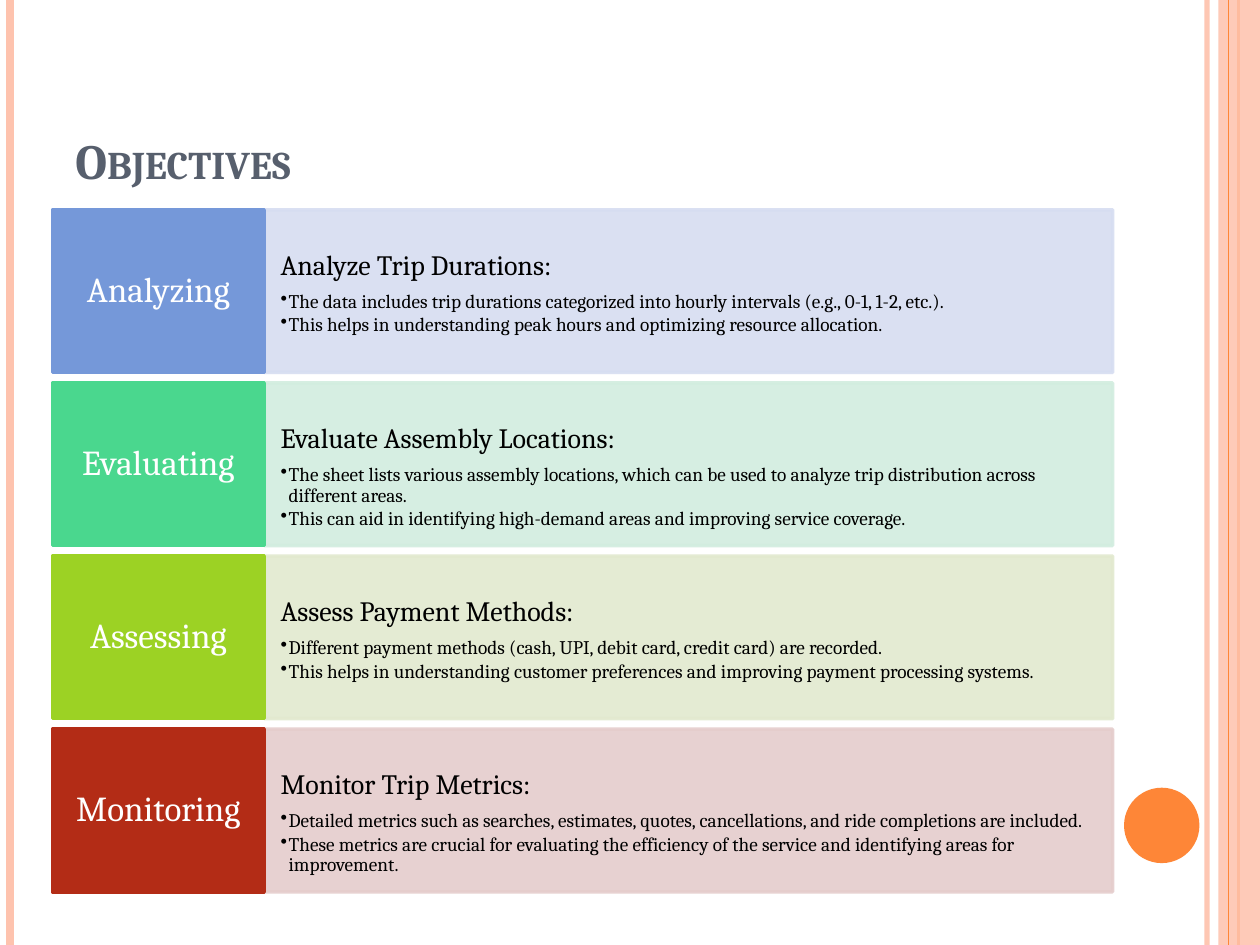
from dataclasses import dataclass

from lxml.etree import SubElement
from pptx import Presentation
from pptx.dml.color import RGBColor
from pptx.enum.shapes import MSO_CONNECTOR as Connector, MSO_SHAPE as Preset
from pptx.enum.text import MSO_ANCHOR as Anchor, PP_ALIGN as Align
from pptx.oxml.ns import qn
from pptx.util import Cm, Pt


@dataclass(frozen=True)
class Theme:
    font: str = "Cambria"
    accent: str = "FE8637"
    pale: str = "FEC3AE"
    title: str = "575F6D"
    dark: str = "000000"
    light: str = "FFFFFF"
    title_size: float = 28
    label_size: float = 20
    heading_size: float = 16
    body_size: float = 11


THEME = Theme()
WIDTH, HEIGHT = 25.4, 19.05

OBJECTIVES = [
    ("Analyzing", "7598D9", "D6DDF1", "Analyze Trip Durations:", [
        "The data includes trip durations categorized into hourly intervals (e.g., 0-1, 1-2, etc.).",
        "This helps in understanding peak hours and optimizing resource allocation.",
    ]),
    ("Evaluating", "4AD78E", "D2EDDF", "Evaluate Assembly Locations:", [
        "The sheet lists various assembly locations, which can be used to analyze trip distribution across different areas.",
        "This can aid in identifying high-demand areas and improving service coverage.",
    ]),
    ("Assessing", "9CD224", "E2E9CF", "Assess Payment Methods:", [
        "Different payment methods (cash, UPI, debit card, credit card) are recorded.",
        "This helps in understanding customer preferences and improving payment processing systems.",
    ]),
    ("Monitoring", "B32C16", "E5CDCC", "Monitor Trip Metrics:", [
        "Detailed metrics such as searches, estimates, quotes, cancellations, and ride completions are included.",
        "These metrics are crucial for evaluating the efficiency of the service and identifying areas for improvement.",
    ]),
]


def set_format(target, values):
    for name, value in values.items():
        setattr(target, name, value)


def set_opacity(shape, percent):
    for color in shape._element.spPr.iter(qn("a:srgbClr")):
        SubElement(color, qn("a:alpha")).set("val", str(percent * 1000))


def add_block(slide, preset, box, color, line_width=0, opacity=100):
    shape = slide.shapes.add_shape(preset, *map(Cm, box))
    shape.shadow.inherit = False
    shape.fill.solid()
    shape.fill.fore_color.rgb = RGBColor.from_string(color)
    if line_width:
        shape.line.color.rgb = RGBColor.from_string(color)
        shape.line.width = Pt(line_width)
    else:
        shape.line.fill.background()
    if opacity < 100:
        set_opacity(shape, opacity)
    return shape


def add_rule(slide, x, height, color, width, opacity=100):
    rule = slide.shapes.add_connector(Connector.STRAIGHT, Cm(x), 0, Cm(x), Cm(height))
    rule.line.color.rgb = RGBColor.from_string(color)
    rule.line.width = Pt(width)
    if opacity < 100:
        set_opacity(rule, opacity)
    SubElement(rule._element.spPr, qn("a:effectLst"))


def set_frame(shape, anchor, inset_x, inset_y):
    set_format(shape.text_frame, {
        "word_wrap": True,
        "vertical_anchor": anchor,
        "margin_left": Cm(inset_x),
        "margin_right": Cm(inset_x),
        "margin_top": Cm(inset_y),
        "margin_bottom": Cm(inset_y),
    })
    return shape.text_frame


def write(paragraph, text, size, color, bold=False):
    run = paragraph.add_run()
    run.text = text
    set_format(run.font, {"name": THEME.font, "size": Pt(size), "bold": bold})
    run.font.color.rgb = RGBColor.from_string(color)
    return run


def set_spacing(paragraph, align, after):
    set_format(paragraph, {"alignment": align, "line_spacing": 0.9})
    properties = paragraph._p.get_or_add_pPr()
    space = SubElement(properties, qn("a:spcAft"))
    SubElement(space, qn("a:spcPct")).set("val", str(after * 1000))
    return properties


def add_bullet(paragraph, text):
    paragraph.level = 1
    properties = set_spacing(paragraph, Align.LEFT, 15)
    indent = Cm(0.16)
    properties.set("marL", str(indent))
    properties.set("indent", str(-indent))
    SubElement(properties, qn("a:buChar")).set("char", "•")
    write(paragraph, text, THEME.body_size, THEME.dark)


def add_decoration(slide, width, height):
    add_rule(slide, width - 1.07, height, THEME.pale, 3, 93)
    add_rule(slide, 0.21, height, THEME.pale, 4.5)
    add_rule(slide, width - 0.43, height, THEME.accent, 1.5)
    add_block(slide, Preset.RECTANGLE, (width - 0.84, 0, 0.84, height), THEME.pale, opacity=87)
    add_rule(slide, width - 0.63, height, THEME.accent, 0.75)
    add_block(slide, Preset.OVAL, (width - 2.74, height - 3.17, 1.52, 1.52), THEME.accent)


def add_title(slide, box, text):
    shape = slide.shapes.add_textbox(*map(Cm, box))
    frame = set_frame(shape, Anchor.BOTTOM, 0.25, 0.13)
    run = write(frame.paragraphs[0], text, THEME.title_size, THEME.title, True)
    run._r.get_or_add_rPr().set("cap", "small")


def add_objective(slide, box, objective):
    label, strong, tint, heading, points = objective
    left, top, width, height = box
    label_width = 4.27

    detail_box = (left + label_width, top, width - label_width, height)
    detail = add_block(slide, Preset.RECTANGLE, detail_box, tint, 2, 90)
    frame = set_frame(detail, Anchor.TOP, 0.33, 0.84)
    paragraph = frame.paragraphs[0]
    set_spacing(paragraph, Align.LEFT, 35)
    write(paragraph, heading, THEME.heading_size, THEME.dark)
    for point in points:
        add_bullet(frame.add_paragraph(), point)

    tag = add_block(slide, Preset.RECTANGLE, (left, top, label_width, height), strong, 2)
    paragraph = set_frame(tag, Anchor.MIDDLE, 0.23, 0.33).paragraphs[0]
    set_spacing(paragraph, Align.CENTER, 35)
    write(paragraph, label, THEME.label_size, THEME.light)


def add_objectives(slide, box, objectives):
    left, top, width, height = box
    gap = 0.21
    row_height = (height - gap * (len(objectives) - 1)) / len(objectives)
    for index, objective in enumerate(objectives):
        row_top = top + index * (row_height + gap)
        add_objective(slide, (left, row_top, width, row_height), objective)


def main():
    presentation = Presentation()
    set_format(presentation, {"slide_width": Cm(WIDTH), "slide_height": Cm(HEIGHT)})
    slide = presentation.slides.add_slide(presentation.slide_layouts[6])
    add_decoration(slide, WIDTH, HEIGHT)
    add_title(slide, (1.27, 0.76, 20.75, 3.18), "Objectives")
    add_objectives(slide, (1.06, 4.23, 21.37, 13.75), OBJECTIVES)
    presentation.save("out.pptx")


if __name__ == "__main__":
    main()
